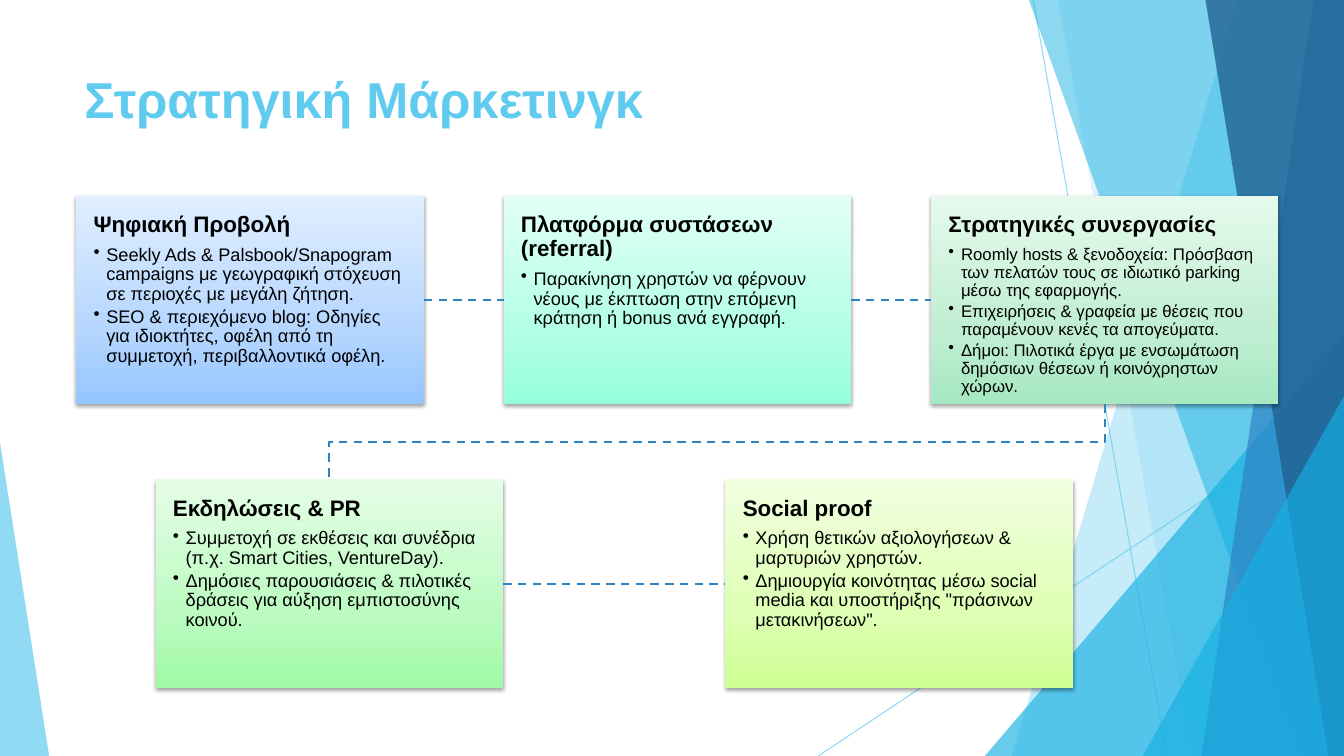
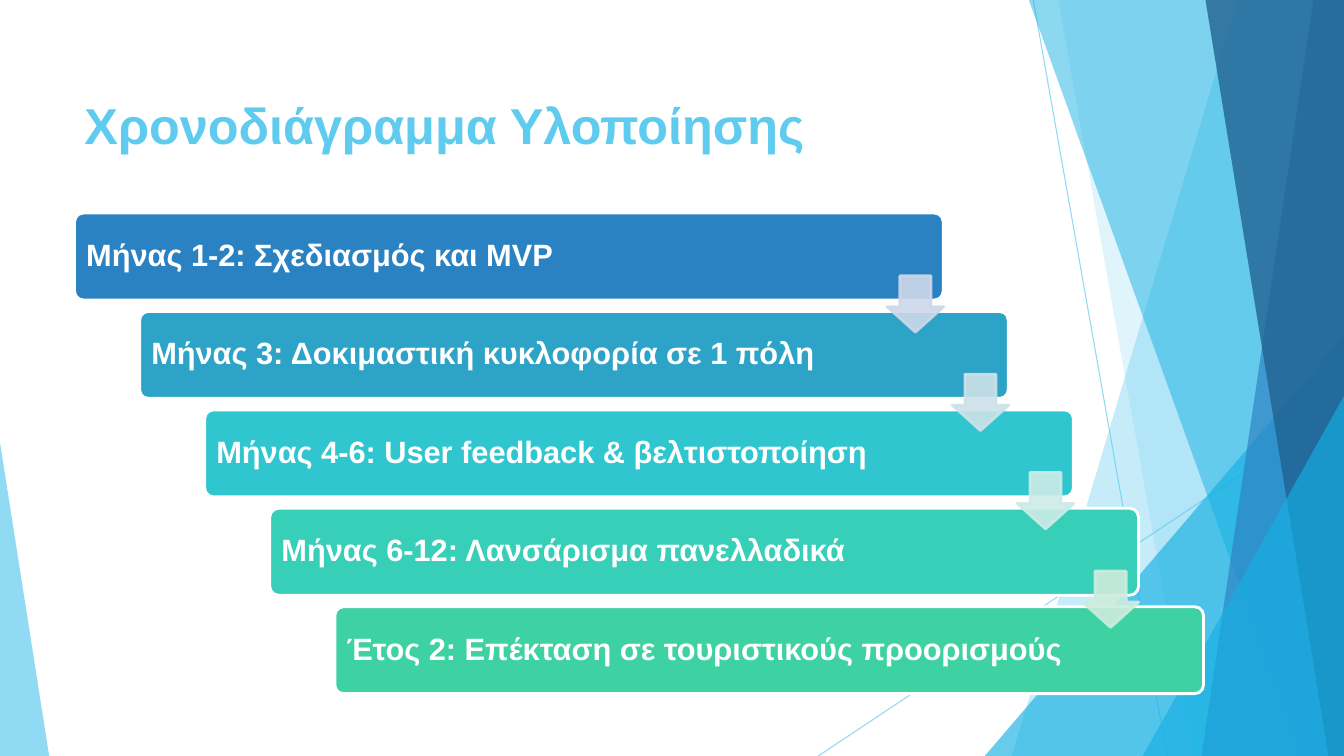
"""Build two slides: a marketing strategy flow and an implementation timeline."""
from lxml import etree
from copy import deepcopy
from pptx import Presentation
from pptx import util as u
from pptx.dml import color as dml
from pptx.enum import dml as line_styles
from pptx.enum import shapes, text
from pptx.oxml import ns

WIDTH, HEIGHT = 33.87, 19.05
FONT = "Arial"
COLOURS = {
    "title": "5FCBEF", "cyan": "16B0E3", "blue": "2E83C3", "navy": "226292",
    "black": "000000", "white": "FFFFFF",
    "sky deep": "95C5FF", "sky mid": "B5D6FF", "sky pale": "E0EEFF",
    "aqua deep": "94FFDB", "aqua mid": "B3FFE6", "aqua pale": "E1FFF6",
    "mint deep": "A5E8C1", "mint mid": "C0EED2", "mint pale": "E5FAEC",
    "green deep": "A0FAA5", "green mid": "BBFBC1", "green pale": "E5FDE5",
    "lime deep": "CEFF93", "lime mid": "DDFFB3", "lime pale": "F1FFE0",
    "step 1": "2B82C3", "step 2": "2EA3C8", "step 3": "30C6CF",
    "step 4": "38CFB9", "step 5": "3ED1A1",
    "arrow 1": "CCD8E9", "arrow 2": "CCE2E9", "arrow 3": "CCEBE7", "arrow 4": "CDECDD",
}

RAYS = [(26.04, 0, 29.41, HEIGHT), (WIDTH, 10.24, 20.62, HEIGHT)]
FACETS = [
    ("band", 31.19, 25.5, "title", 35),
    ("band", 26.67, 30.05, "title", 20),
    ("triangle", 24.82, 8.46, "cyan", 65),
    ("band", 25.93, 32.79, "cyan", 49),
    ("band", 33.1, 30.28, "blue", 69),
    ("band", 30.38, 33.48, "navy", 80),
    ("triangle", 28.8, 9.98, "cyan", 65),
]

CARD_WIDTH, CARD_HEIGHT = 8.76, 5.26
CARD_ROWS = [
    (1.92, 4.93, 10.77, [
        ("sky", "Ψηφιακή Προβολή", 13, [
            "Seekly Ads & Palsbook/Snapogram campaigns με γεωγραφική στόχευση "
            "σε περιοχές με μεγάλη ζήτηση.",
            "SEO & περιεχόμενο blog: Οδηγίες για ιδιοκτήτες, οφέλη από τη "
            "συμμετοχή, περιβαλλοντικά οφέλη."]),
        ("aqua", "Πλατφόρμα συστάσεων (referral)", 13, [
            "Παρακίνηση χρηστών να φέρνουν νέους με έκπτωση στην επόμενη "
            "κράτηση ή bonus ανά εγγραφή."]),
        ("mint", "Στρατηγικές συνεργασίες", 12, [
            "Roomly hosts & ξενοδοχεία: Πρόσβαση των πελατών τους σε ιδιωτικό "
            "parking μέσω της εφαρμογής.",
            "Επιχειρήσεις & γραφεία με θέσεις που παραμένουν κενές τα απογεύματα.",
            "Δήμοι: Πιλοτικά έργα με ενσωμάτωση δημόσιων θέσεων ή κοινόχρηστων "
            "χώρων."]),
    ]),
    (3.92, 12.08, 14.36, [
        ("green", "Εκδηλώσεις & PR", 13, [
            "Συμμετοχή σε εκθέσεις και συνέδρια (π.χ. Smart Cities, VentureDay).",
            "Δημόσιες παρουσιάσεις & πιλοτικές δράσεις για αύξηση εμπιστοσύνης "
            "κοινού."]),
        ("lime", "Social proof", 13, [
            "Χρήση θετικών αξιολογήσεων & μαρτυριών χρηστών.",
            "Δημιουργία κοινότητας μέσω social media και υποστήριξης \"πράσινων "
            "μετακινήσεων\"."]),
    ]),
]
STEPS = [
    "Μήνας 1-2: Σχεδιασμός και MVP",
    "Μήνας 3: Δοκιμαστική κυκλοφορία σε 1 πόλη",
    "Μήνας 4-6: User feedback & βελτιστοποίηση",
    "Μήνας 6-12: Λανσάρισμα πανελλαδικά",
    "Έτος 2: Επέκταση σε τουριστικούς προορισμούς",
]


def rgb(name):
    """Return the named colour."""
    return dml.RGBColor.from_string(COLOURS[name])


def fade(shape, percent):
    """Set the opacity of every colour of a shape."""
    for colour in list(shape.element.spPr.iter(ns.qn("a:srgbClr"))):
        etree.SubElement(colour, ns.qn("a:alpha"), val=str(percent * 1000))


def paint(shape, fill, line=None):
    """Give a shape a flat fill and an optional two-point outline."""
    shape.shadow.inherit = False
    shape.fill.solid()
    shape.fill.fore_color.rgb = rgb(fill)
    if line:
        shape.line.color.rgb = rgb(line)
        shape.line.width = u.Pt(2)
    else:
        shape.line.fill.background()


def add_preset(page, kind, left, top, width, height, *adjustments):
    """Add a preset shape measured in centimetres."""
    shape = page.shapes.add_shape(kind, u.Cm(left), u.Cm(top), u.Cm(width), u.Cm(height))
    for index, value in enumerate(adjustments):
        shape.adjustments[index] = value
    return shape


def add_line(page, left, top, right, bottom):
    """Add a straight connector without a shadow."""
    line = page.shapes.add_connector(shapes.MSO_CONNECTOR.STRAIGHT, left, top, right, bottom)
    style_line(line, "title", 0.75)
    etree.SubElement(line.element.spPr, ns.qn("a:effectLst"))
    return line


def style_line(shape, colour, width, dash=None):
    """Set the stroke of a line or an outline."""
    shape.line.color.rgb = rgb(colour)
    shape.line.width = u.Pt(width)
    if dash:
        shape.line.dash_style = dash


def add_outline(page, points, closed):
    """Add a freeform through the given points."""
    builder = page.shapes.build_freeform(*points[0])
    builder.add_line_segments(points[1:], close=closed)
    return builder.convert_to_shape()


def set_frame(shape, anchor, side, top):
    """Set wrapping, anchor and insets, and return the first paragraph."""
    frame = shape.text_frame
    frame.word_wrap = True
    frame.vertical_anchor = anchor
    frame.margin_left = frame.margin_right = u.Cm(side)
    frame.margin_top = frame.margin_bottom = u.Cm(top)
    return frame.paragraphs[0]


def add_span(para, words, size, colour, bold):
    """Add one left-aligned run."""
    para.alignment = text.PP_ALIGN.LEFT
    span = para.add_run()
    span.text = words
    span.font.name = FONT
    span.font.size = u.Pt(size)
    span.font.bold = bold
    span.font.color.rgb = rgb(colour)


def add_triangle(page, left, top, width, apex, colour, percent):
    """Add a translucent right triangle standing on the bottom edge."""
    kind = shapes.MSO_SHAPE.ISOSCELES_TRIANGLE
    triangle = add_preset(page, kind, left, top, width, HEIGHT - top, apex)
    paint(triangle, colour)
    fade(triangle, percent)


def add_band(page, upper, lower, colour, percent):
    """Add a translucent band that reaches the right edge."""
    corners = [(upper, 0), (WIDTH, 0), (WIDTH, HEIGHT), (lower, HEIGHT)]
    band = add_outline(page, [(u.Cm(x), u.Cm(y)) for x, y in corners], True)
    paint(band, colour)
    fade(band, percent)


def add_page(deck, title, top):
    """Add a slide with the shared backdrop and title style."""
    page = deck.slides.add_slide(deck.slide_layouts[6])
    for ray in RAYS:
        fade(add_line(page, *map(u.Cm, ray)), 69)
    for kind, first, second, colour, percent in FACETS:
        if kind == "band":
            add_band(page, first, second, colour, percent)
        else:
            add_triangle(page, first, second, WIDTH - first, 1, colour, percent)
    add_triangle(page, 0, 11.15, 1.24, 0, "title", 69)
    box = page.shapes.add_textbox(u.Cm(1.88), u.Cm(top), u.Cm(23.88), u.Cm(3.66))
    para = set_frame(box, text.MSO_ANCHOR.MIDDLE, 0.25, 0.13)
    add_span(para, title, 36, "title", True)
    return page


def shade(card, family):
    """Give a card its three-stop gradient and soft shadow."""
    card.line.fill.background()
    card.fill.gradient()
    card.fill.gradient_angle = 90
    stop_list = next(card.element.spPr.iter(ns.qn("a:gsLst")))
    stop_list.append(deepcopy(stop_list[0]))
    tones = [("deep", 0), ("mid", 0.35), ("pale", 1)]
    for stop, (tone, position) in zip(card.fill.gradient_stops, tones):
        stop.color.rgb = rgb(f"{family} {tone}")
        stop.position = position
    card.shadow.inherit = False
    effects = card.element.spPr.find(ns.qn("a:effectLst"))
    shadow = etree.SubElement(effects, ns.qn("a:outerShdw"), blurRad=str(u.Pt(3.1)),
                              dist=str(u.Pt(1.6)), dir="5400000", rotWithShape="0")
    colour = etree.SubElement(shadow, ns.qn("a:srgbClr"), val=COLOURS["black"])
    etree.SubElement(colour, ns.qn("a:alpha"), val="38000")


def add_bullet(frame, words, size, gap):
    """Add one bulleted paragraph."""
    para = frame.add_paragraph()
    properties = para._p.get_or_add_pPr()
    properties.set("marL", str(u.Cm(0.32)))
    properties.set("indent", str(-u.Cm(0.32)))
    etree.SubElement(properties, ns.qn("a:buChar"), char="•")
    para.line_spacing = 0.9
    para.space_before = u.Pt(gap)
    add_span(para, words, size, "black", False)


def add_card(page, left, top, family, heading, size, bullets):
    """Add a gradient card with a heading and bullets."""
    card = add_preset(page, shapes.MSO_SHAPE.RECTANGLE, left, top, CARD_WIDTH, CARD_HEIGHT)
    shade(card, family)
    para = set_frame(card, text.MSO_ANCHOR.TOP, 0.44, 0.45)
    para.line_spacing = 0.9
    add_span(para, heading, 16, "black", True)
    for index, words in enumerate(bullets):
        add_bullet(card.text_frame, words, size, 2 if index else 5.6)
    return card


def link_cards(page, first, second):
    """Join two neighbouring cards with a dashed connector."""
    line = add_line(page, 0, 0, 0, 0)
    line.begin_connect(first, 3)
    line.end_connect(second, 1)
    style_line(line, "blue", 1.5, line_styles.MSO_LINE.DASH)


def link_rows(page, upper, lower):
    """Lead a dashed line from the bottom of one card to the top of another."""
    start, end = (card.left + card.width // 2 for card in (upper, lower))
    bottom = upper.top + upper.height
    middle = (bottom + lower.top) // 2
    points = [(start, bottom), (start, middle), (end, middle), (end, lower.top)]
    route = add_outline(page, points, False)
    route.shadow.inherit = False
    route.fill.background()
    style_line(route, "blue", 1.5, line_styles.MSO_LINE.DASH)


def add_strategy(deck):
    """Build the marketing strategy slide."""
    page = add_page(deck, "Στρατηγική Μάρκετινγκ", 0.64)
    rows = [[add_card(page, left + index * pitch, top, *content)
             for index, content in enumerate(cards)]
            for left, top, pitch, cards in CARD_ROWS]
    for row in rows:
        for first, second in zip(row, row[1:]):
            link_cards(page, first, second)
    link_rows(page, rows[0][-1], rows[1][0])


def add_timeline(deck):
    """Build the implementation timeline slide."""
    page = add_page(deck, "Χρονοδιάγραμμα Υλοποίησης", 1.3)
    corners = [(1.88 + 1.64 * index, 5.37 + 2.48 * index) for index in range(len(STEPS))]
    for number, ((left, top), words) in enumerate(zip(corners, STEPS), 1):
        step = add_preset(page, shapes.MSO_SHAPE.ROUNDED_RECTANGLE, left, top, 21.89, 2.19, 0.1)
        paint(step, f"step {number}", "white")
        para = set_frame(step, text.MSO_ANCHOR.MIDDLE, 0.23, 0.23)
        para.line_spacing = 0.9
        add_span(para, words, 22, "white", True)
    for number, (left, top) in enumerate(corners[:-1], 1):
        arrow = add_preset(page, shapes.MSO_SHAPE.DOWN_ARROW, left + 20.48, top + 1.58,
                           1.42, 1.42, 0.55, 0.45)
        paint(arrow, f"arrow {number}", f"arrow {number}")
        fade(arrow, 90)


def main():
    """Build and save the deck."""
    deck = Presentation()
    deck.slide_width, deck.slide_height = u.Cm(WIDTH), u.Cm(HEIGHT)
    add_strategy(deck)
    add_timeline(deck)
    deck.save("out.pptx")


if __name__ == "__main__":
    main()
